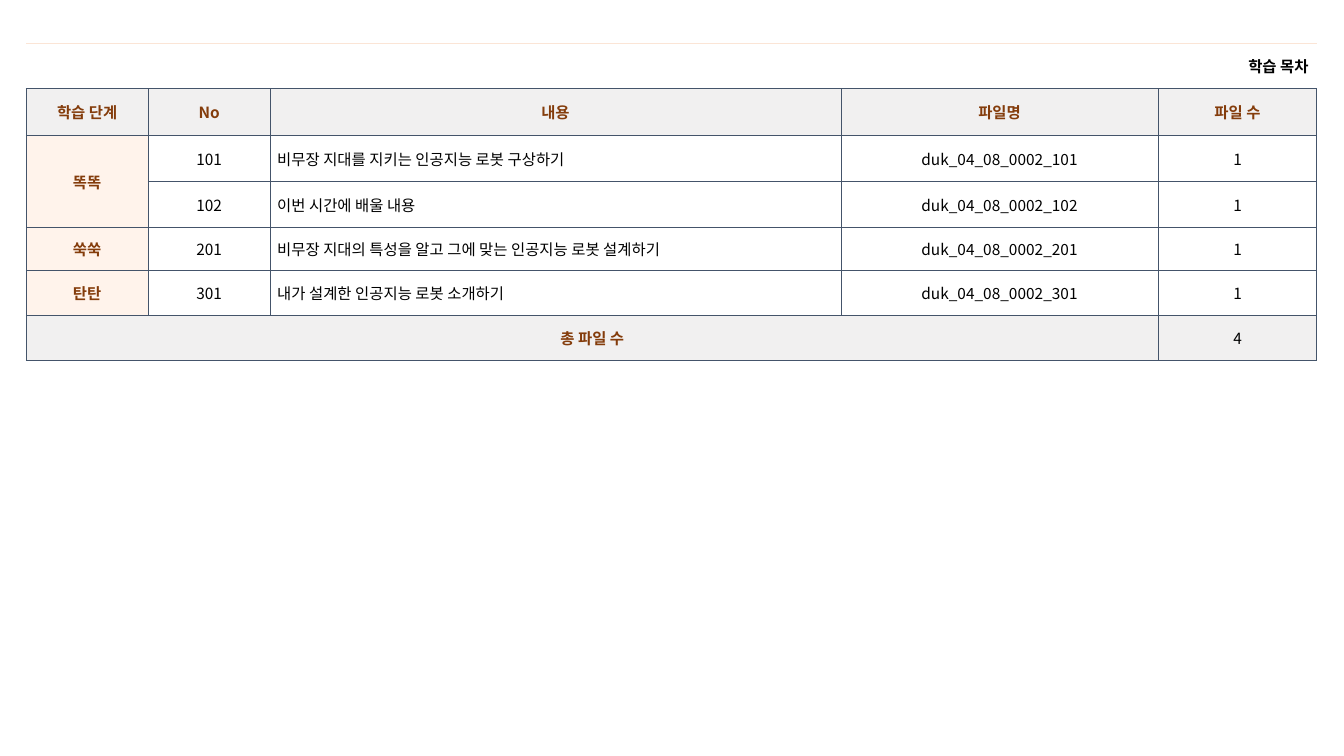
from lxml import etree
from pptx import Presentation
from pptx.dml.color import RGBColor
from pptx.enum.text import MSO_ANCHOR, PP_ALIGN
from pptx.oxml.ns import qn
from pptx.util import Inches, Pt

LEFT, CENTER, RIGHT = PP_ALIGN.LEFT, PP_ALIGN.CENTER, PP_ALIGN.RIGHT
MIDDLE = MSO_ANCHOR.MIDDLE
FONT = "Noto Sans CJK KR"
BLACK, WHITE, BROWN = "000000", "FFFFFF", "843C0B"
GRAY, PEACH = "F1F0F0", "FFF3EB"
GRID_LINE, TOP_LINE = ("44546A", 0.5), ("FBE5D6", 0.25)

TITLE = "학습 목차"
HEADINGS = ["학습 단계", "No", "내용", "파일명", "파일 수"]
LESSONS = [
    ("똑똑", "101", "비무장 지대를 지키는 인공지능 로봇 구상하기"),
    ("", "102", "이번 시간에 배울 내용"),
    ("쑥쑥", "201", "비무장 지대의 특성을 알고 그에 맞는 인공지능 로봇 설계하기"),
    ("탄탄", "301", "내가 설계한 인공지능 로봇 소개하기"),
]
COLUMN_WIDTHS = [1.21, 1.21, 5.66, 3.15, 1.57]
ROW_HEIGHTS = [0.45, 0.46, 0.46, 0.46, 0.42, 0.45, 0.45]


def color(value):
    """Turn a hex string into a colour."""
    return RGBColor.from_string(value)


def write_text(cell, text, align=CENTER, bold=False, ink=BLACK, inset=0.07):
    """Write formatted text into a table cell."""
    cell.vertical_anchor = MIDDLE
    cell.margin_left = cell.margin_right = Inches(inset)
    cell.margin_top = cell.margin_bottom = Inches(0.05)
    paragraph = cell.text_frame.paragraphs[0]
    paragraph.alignment = align
    run = paragraph.add_run()
    run.text = text
    run.font.size, run.font.bold = Pt(11), bold
    run.font.color.rgb = color(ink)
    run.font.name = FONT
    etree.SubElement(run.font._element, qn("a:ea"), typeface=FONT)


def set_borders(cell, **edges):
    """Draw the L, R, T and B borders of a cell; None hides one."""
    properties = cell._tc.get_or_add_tcPr()
    for position, side in enumerate("LRTB"):
        edge = edges.get(side, GRID_LINE)
        line = etree.Element(qn(f"a:ln{side}"))
        if edge is None:
            etree.SubElement(line, qn("a:noFill"))
        else:
            ink, width = edge
            line.set("w", str(Pt(width)))
            fill = etree.SubElement(line, qn("a:solidFill"))
            etree.SubElement(fill, qn("a:srgbClr"), val=ink)
        properties.insert(position, line)


def fill_cell(cell, background):
    """Give a cell its background and grid borders."""
    cell.fill.solid()
    cell.fill.fore_color.rgb = color(background)
    set_borders(cell)


def add_title_row(table):
    """Fill the borderless title row above the headings."""
    for column in range(len(HEADINGS)):
        cell = table.cell(0, column)
        cell.fill.background()
        set_borders(cell, L=None, R=None, T=TOP_LINE)
    table.cell(0, 0).merge(table.cell(0, len(HEADINGS) - 1))
    write_text(table.cell(0, 0), TITLE, align=RIGHT, bold=True, inset=0.08)


def add_lesson_rows(table, first_row):
    """Fill one row per lesson, joining rows of the same stage."""
    for row, (stage, number, topic) in enumerate(LESSONS, first_row):
        texts = [stage, number, topic, f"duk_04_08_0002_{number}", "1"]
        for column, text in enumerate(texts):
            cell = table.cell(row, column)
            is_stage = column == 0
            fill_cell(cell, PEACH if is_stage else WHITE)
            if text:
                write_text(cell, text, align=LEFT if column == 2 else CENTER,
                           bold=is_stage, ink=BROWN if is_stage else BLACK)
        if not stage:
            table.cell(row - 1, 0).merge(table.cell(row, 0))


def add_total_row(table, row):
    """Fill the row with the total number of files."""
    last = len(HEADINGS) - 1
    for column in range(last + 1):
        fill_cell(table.cell(row, column), GRAY)
    table.cell(row, 0).merge(table.cell(row, last - 1))
    write_text(table.cell(row, 0), "총 파일 수", bold=True, ink=BROWN)
    write_text(table.cell(row, last), str(len(LESSONS)))


def add_contents_table(slide, left, top):
    """Build the table of contents from its top left corner."""
    table = slide.shapes.add_table(
        len(ROW_HEIGHTS), len(COLUMN_WIDTHS), Inches(left), Inches(top),
        Inches(sum(COLUMN_WIDTHS)), Inches(sum(ROW_HEIGHTS))).table
    table.first_row = table.horz_banding = False
    for column, width in zip(table.columns, COLUMN_WIDTHS):
        column.width = Inches(width)
    for row, height in zip(table.rows, ROW_HEIGHTS):
        row.height = Inches(height)
    add_title_row(table)
    for column, heading in enumerate(HEADINGS):
        cell = table.cell(1, column)
        fill_cell(cell, GRAY)
        write_text(cell, heading, bold=True, ink=BROWN)
    add_lesson_rows(table, first_row=2)
    add_total_row(table, row=2 + len(LESSONS))


def main():
    """Create and save the presentation."""
    presentation = Presentation()
    presentation.slide_width = Inches(13.33)
    presentation.slide_height = Inches(7.5)
    slide = presentation.slides.add_slide(presentation.slide_layouts[6])
    add_contents_table(slide, 0.26, 0.43)
    presentation.save("out.pptx")


if __name__ == "__main__":
    main()
